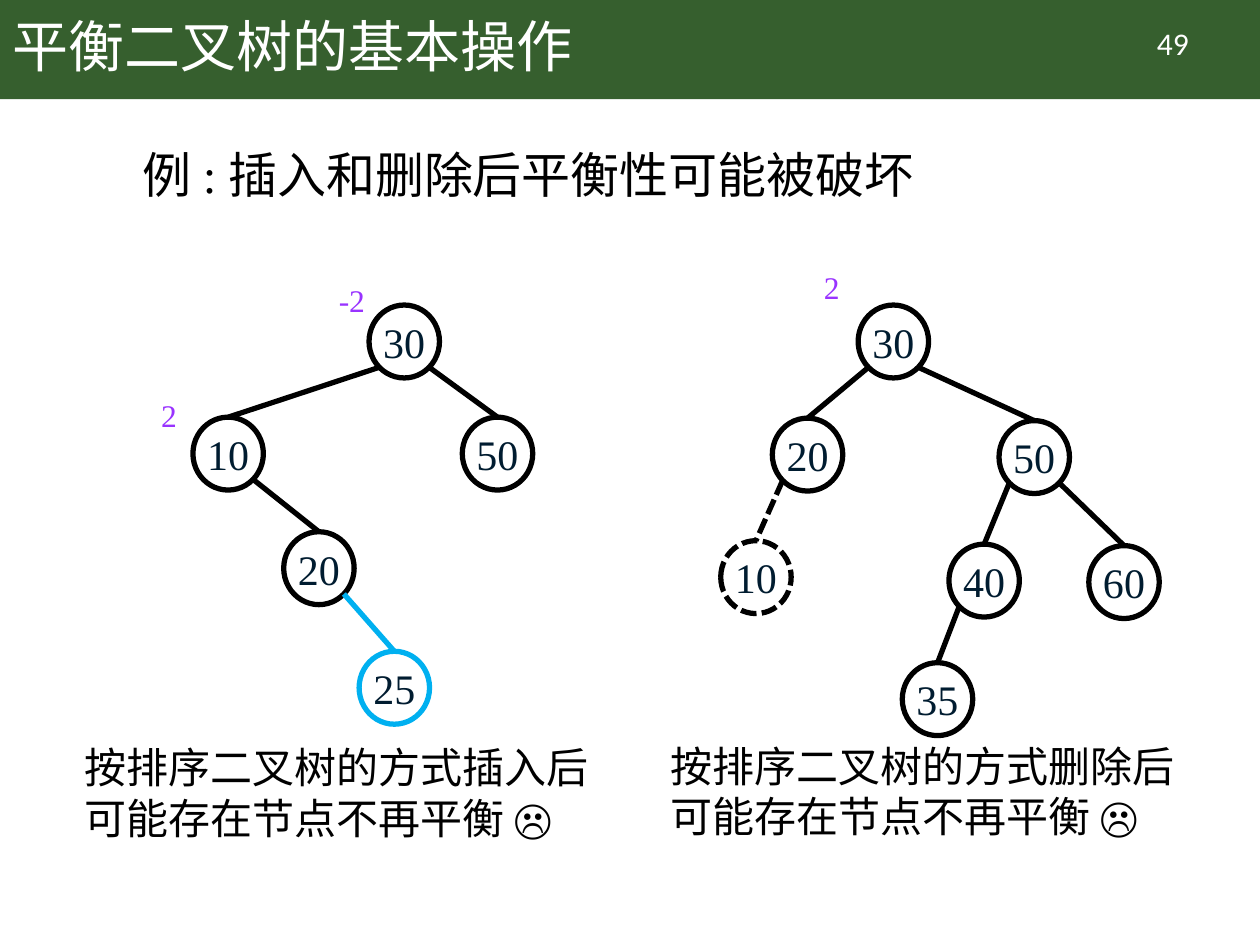
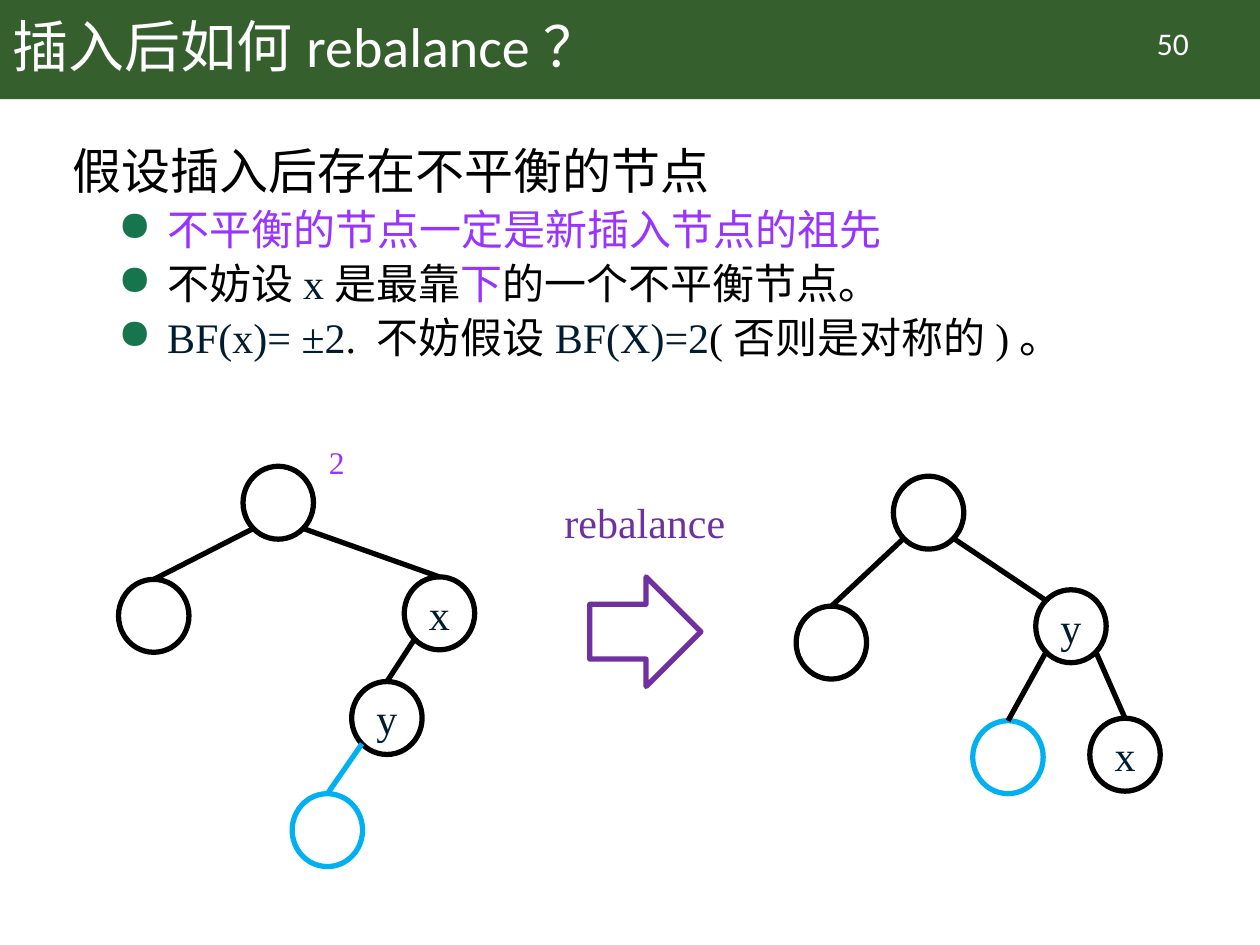
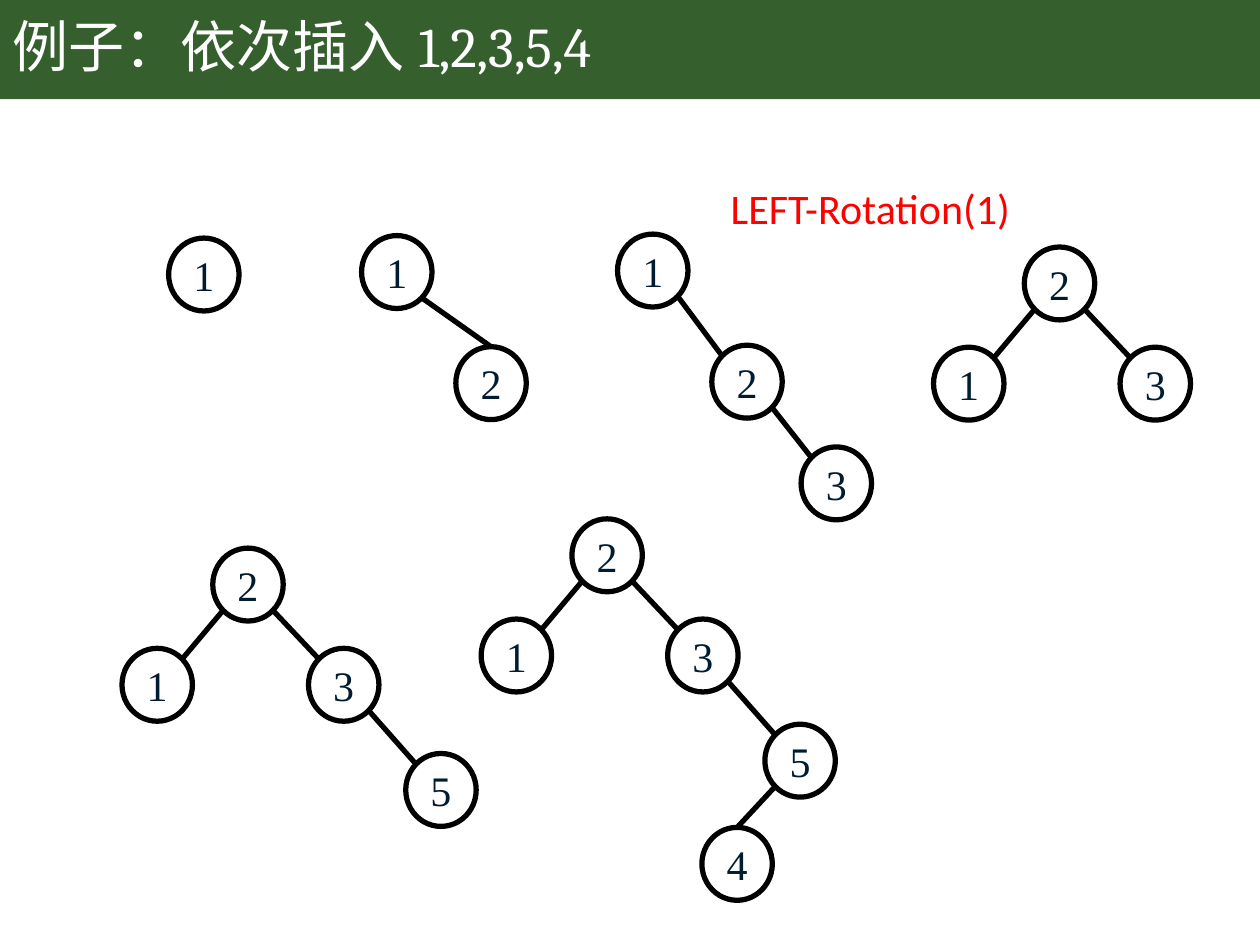
from lxml import etree
from pptx import Presentation
from pptx.dml.color import RGBColor
from pptx.enum import dml, shapes, text
from pptx.oxml import ns
from pptx.util import Cm, Pt

HUES = {"band": "365F2E", "white": "FFFFFF", "black": "000000", "ink": "001C30",
        "new": "00B0F0", "mark": "9933FF", "plum": "7030A0", "dot": "16754D",
        "red": "FF0000"}
SERIF, SANS = "Times New Roman", "Calibri"
WIDE, HIGH = 1.42, 1.47
DIAG = 0.5 ** 0.5 / 2
LEFT, MID = text.PP_ALIGN.LEFT, text.PP_ALIGN.CENTER


def hue(name):
    """Return the colour with this name."""
    return RGBColor.from_string(HUES[name])


def dot(para):
    """Give a paragraph a round bullet and a hanging indent."""
    props = para._p.get_or_add_pPr()
    props.set("marL", str(Cm(1.9)))
    props.set("indent", str(Cm(-0.99)))
    tint = etree.SubElement(props, ns.qn("a:buClr"))
    etree.SubElement(tint, ns.qn("a:srgbClr")).set("val", HUES["dot"])
    etree.SubElement(props, ns.qn("a:buChar")).set("char", "●")


def write(shape, *paras, size=24, font=SERIF, color="black", align=LEFT,
          space=None, gap=0, pad=None, wrap=True, mid=False, dots=False):
    """Fill a shape with paragraphs, each a string or (text, colour) runs."""
    frame = shape.text_frame
    frame.word_wrap = wrap
    frame.auto_size = text.MSO_AUTO_SIZE.NONE
    frame.vertical_anchor = text.MSO_ANCHOR.MIDDLE if mid else text.MSO_ANCHOR.TOP
    if pad is not None:
        frame.margin_left = frame.margin_right = Cm(pad)
        frame.margin_top = frame.margin_bottom = Cm(pad)
    for i, runs in enumerate(paras):
        para = frame.add_paragraph() if i else frame.paragraphs[0]
        para.alignment = align
        if space:
            para.line_spacing = space
        if i:
            para.space_before = Pt(gap)
        if i and dots:
            dot(para)
        for words, tone in [(runs, color)] if isinstance(runs, str) else runs:
            run = para.add_run()
            run.text = words
            run.font.name = font
            run.font.size = Pt(28 if dots and not i else size)
            run.font.color.rgb = hue(tone)


def box(slide, x, y, w, h, *paras, **form):
    """Add a text box."""
    area = slide.shapes.add_textbox(Cm(x), Cm(y), Cm(w), Cm(h))
    write(area, *paras, **form)


def badge(slide, x, y, words):
    """Add a balance factor beside a node."""
    box(slide, x, y, 1.14, 1.02, words, size=18, color="mark")


def stroke(item, color, dash=False):
    """Format the line of a shape or connector."""
    item.line.color.rgb = hue(color)
    item.line.width = Pt(3)
    if dash:
        item.line.dash_style = dml.MSO_LINE.SQUARE_DOT


def form(slide, kind, x, y, w, h, color, dash=False):
    """Add an unfilled preset shape."""
    shape = slide.shapes.add_shape(kind, Cm(x), Cm(y), Cm(w), Cm(h))
    shape.shadow.inherit = False
    shape.fill.background()
    stroke(shape, color, dash)
    return shape


def edge(slide, top, low, color, dash, join):
    """Link a parent to a child at its top or at its near corner."""
    side = 1 if low[0] > top[0] else -1
    start = top[0] + WIDE * (0.5 + side * DIAG), top[1] + HIGH * (0.5 + DIAG)
    end = low[0] + WIDE / 2, low[1]
    if join:
        end = low[0] + WIDE * (0.5 - side * DIAG), low[1] + HIGH * (0.5 - DIAG)
    line = slide.shapes.add_connector(
        shapes.MSO_CONNECTOR.STRAIGHT, *(Cm(v) for v in start + end))
    stroke(line, color, dash)
    etree.SubElement(line._element.spPr, ns.qn("a:effectLst"))


def tree(slide, nodes, x=0, y=0):
    """Draw nodes given as (label, x, y, parent index, options)."""
    spots = []
    for label, dx, dy, top, *rest in nodes:
        opts = rest[0] if rest else {}
        color, dash = opts.get("color", "black"), opts.get("dash", False)
        spot = x + dx, y + dy
        node = form(slide, shapes.MSO_SHAPE.OVAL, *spot, WIDE, HIGH, color, dash)
        if label:
            write(node, label, color="ink", align=MID, pad=0, mid=True)
        if top is not None:
            edge(slide, spots[top], spot, opts.get("edge", color), dash,
                 opts.get("join", False))
        spots.append(spot)


def band(slide):
    """Put the green band on the layout that the slides share."""
    bar = slide.shapes.add_shape(shapes.MSO_SHAPE.RECTANGLE, 0, 0, Cm(25.4), Cm(2))
    bar.shadow.inherit = False
    bar.fill.solid()
    bar.fill.fore_color.rgb = hue("band")
    bar.line.fill.background()
    slide.slide_layout.placeholders[0].element.addprevious(bar.element)


def page(deck, title, num=None, font=SANS):
    """Add a slide with its title and number."""
    slide = deck.slides.add_slide(deck.slide_layouts[5])
    head = slide.shapes.title
    head.left, head.top, head.width, head.height = 0, 0, Cm(21.9), Cm(2)
    write(head, title, size=32, font=font, color="white", space=0.9, mid=True)
    if num:
        box(slide, 22.12, 0.36, 3.05, 1.02, num, size=18, font=SANS,
            color="white", align=MID)
    return slide


def basics(deck):
    """Show how inserting and deleting break the balance."""
    slide = page(deck, "平衡二叉树的基本操作", "49")
    band(slide)
    box(slide, 2.62, 2.92, 20.78, 2.29, "例:插入和删除后平衡性可能被破坏",
        size=28, space=0.9)
    for x, y, verb in [(1.45, 14.83, "插入"), (13.26, 14.8, "删除")]:
        box(slide, x, y, 10.77, 2.31, f"按排序二叉树的方式{verb}后",
            "可能存在节点不再平衡 ☹", wrap=False)
    tree(slide, [("30", 7.44, 6.15, None), ("10", 3.89, 8.41, 0),
                 ("50", 9.32, 8.41, 0), ("20", 5.72, 10.72, 1),
                 ("25", 7.24, 13.13, 3, {"color": "new"})])
    tree(slide, [("30", 17.3, 6.15, None), ("20", 15.57, 8.43, 0),
                 ("10", 14.53, 10.9, 1, {"dash": True}),
                 ("50", 20.14, 8.48, 0), ("40", 19.13, 10.97, 3),
                 ("35", 18.19, 13.36, 4), ("60", 21.95, 11, 3)])
    badge(slide, 3, 7.85, "2")
    badge(slide, 6.58, 5.54, "-2")
    badge(slide, 16.36, 5.28, "2")


def repair(deck):
    """Show the tree before and after a rebalance."""
    slide = page(deck, "插入后如何rebalance？", "50")
    box(slide, 1.22, 2.84, 23.62, 5.59, "假设插入后存在不平衡的节点",
        [("不平衡的节点一定是新插入节点的祖先", "mark")],
        [("不妨设", "black"), ("x", "ink"), ("是最靠", "black"), ("下", "mark"),
         ("的一个不平衡节点。", "black")],
        [("BF(x)= ±2", "ink"), (". 不妨假设", "black"), ("BF(X)=2", "ink"),
         ("(否则是对称的)。", "black")],
        space=0.9, gap=5, dots=True)
    tree(slide, [("", 4.9, 9.4, None), ("", 2.39, 11.68, 0), ("x", 8.15, 11.63, 0),
                 ("y", 7.09, 13.74, 2), ("", 5.89, 16, 3, {"color": "new"})])
    badge(slide, 6.38, 8.81, "2")
    box(slide, 11.13, 9.88, 5.23, 1.27, "rebalance", color="plum")
    form(slide, shapes.MSO_SHAPE.RIGHT_ARROW, 11.89, 11.63, 2.24, 2.21, "plum")
    tree(slide, [("", 18.01, 9.6, None), ("", 16.05, 12.22, 0),
                 ("y", 20.88, 11.89, 0, {"join": True}),
                 ("", 19.61, 14.53, 2, {"color": "new", "edge": "black"}),
                 ("x", 21.97, 14.48, 2)])


def steps(deck):
    """Show the tree after each insertion."""
    slide = page(deck, "例子：依次插入1,2,3,5,4", font="Cambria")
    near = {"join": True}
    root = ("1", 0, 0, None)
    trio = [("2", 0, 0, None), ("1", -1.83, 2.02, 0, near), ("3", 1.93, 2.02, 0, near)]
    five = ("5", 3.89, 4.14, 2, near)
    tree(slide, [root], 3.4, 4.8)
    tree(slide, [root, ("2", 1.9, 2.24, 0)], 7.29, 4.75)
    tree(slide, [root, ("2", 1.9, 2.24, 0, near), ("3", 3.7, 4.29, 1, near)],
         12.45, 4.72)
    tree(slide, trio, 20.65, 4.98)
    tree(slide, trio + [five], 4.29, 11.05)
    tree(slide, trio + [five, ("4", 2.62, 6.22, 3)], 11.53, 10.46)
    box(slide, 14.48, 3.56, 6.2, 1.27, "LEFT-Rotation(1)", font=SANS,
        color="red", wrap=False)


def main():
    """Build and save the deck."""
    deck = Presentation()
    deck.slide_width, deck.slide_height = Cm(25.4), Cm(19.05)
    basics(deck)
    repair(deck)
    steps(deck)
    deck.save("out.pptx")


if __name__ == "__main__":
    main()
